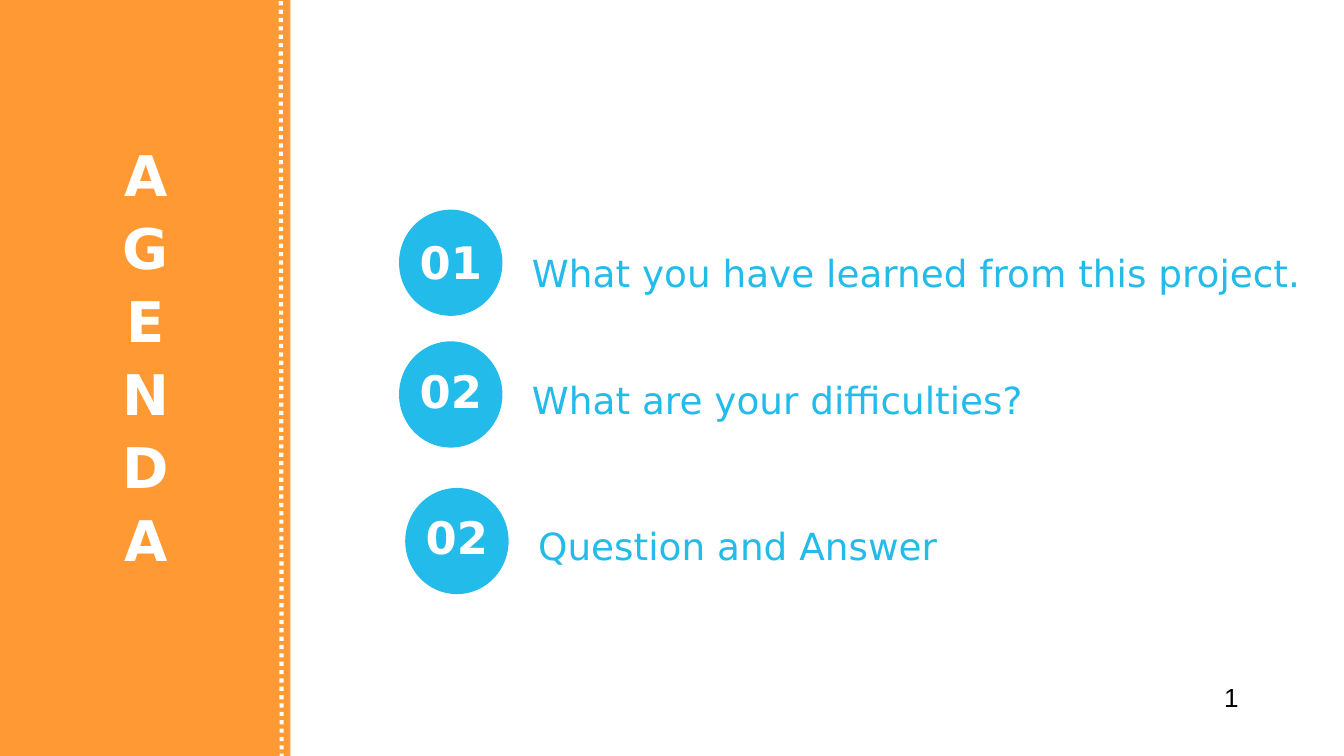
from lxml import etree
from pptx import Presentation
from pptx.dml.color import RGBColor
from pptx.enum.dml import MSO_LINE
from pptx.enum.shapes import MSO_CONNECTOR, MSO_SHAPE
from pptx.enum.text import MSO_ANCHOR, PP_ALIGN
from pptx.oxml.ns import qn
from pptx.util import Pt

RECTANGLE, OVAL = MSO_SHAPE.RECTANGLE, MSO_SHAPE.OVAL
STRAIGHT = MSO_CONNECTOR.STRAIGHT
DOTTED = MSO_LINE.ROUND_DOT
TOP, MIDDLE = MSO_ANCHOR.TOP, MSO_ANCHOR.MIDDLE
LEFT, CENTER = PP_ALIGN.LEFT, PP_ALIGN.CENTER

COLORS = {"orange": "FF9933", "blue": "22BBEA", "white": "FFFFFF", "black": "000000"}
HEADING_FONT = "DejaVu Sans"
PAGE_FONT = "Arial"
SLIDE_WIDTH, SLIDE_HEIGHT = 720, 405
CIRCLE_WIDTH, CIRCLE_HEIGHT = 55.4, 56.9
AGENDA_ITEMS = [
    ("01", "What you have learned from this project.", 213.8, 112.3, 433.4, 14.4, 18),
    ("02", "What are your difficulties?", 213.8, 182.9, 301.7, 13, 15.8),
    ("02", "Question and Answer", 217.1, 261.4, 301.7, 13, 15.1),
]


def color(name):
    """Return the named palette colour."""
    return RGBColor.from_string(COLORS[name])


def add_filled_shape(shapes, kind, box, fill):
    """Add a flat preset shape without an outline."""
    shape = shapes.add_shape(kind, *map(Pt, box))
    shape.shadow.inherit = False
    shape.fill.solid()
    shape.fill.fore_color.rgb = color(fill)
    shape.line.fill.background()
    return shape


def add_text(shapes, box, lines, size, ink, font=HEADING_FONT, bold=False,
             align=LEFT, anchor=TOP, space_before=0):
    """Add a text box with one paragraph for each line."""
    frame = shapes.add_textbox(*map(Pt, box)).text_frame
    frame.word_wrap = True
    frame.vertical_anchor = anchor
    for index, line in enumerate(lines):
        paragraph = frame.add_paragraph() if index else frame.paragraphs[0]
        paragraph.alignment = align
        paragraph.space_before = Pt(space_before)
        run = paragraph.add_run()
        run.text = line
        run.font.name = font
        run.font.size = Pt(size)
        run.font.bold = bold
        run.font.color.rgb = color(ink)


def add_sidebar(slide, left, top, width, height):
    """Draw the orange band with its vertical title and dotted edge."""
    shapes = slide.shapes
    add_filled_shape(shapes, RECTANGLE, (left, top, width, height), "orange")
    add_text(shapes, (left + 7.2, top + 174.2, 144.7, 33.8), "AGENDA", 30, "white",
             bold=True, align=CENTER, anchor=MIDDLE, space_before=3.2)
    edge = left + width - 5.2
    line = shapes.add_connector(STRAIGHT, Pt(edge + 0.5), Pt(top + height + 1),
                                Pt(edge), Pt(top))
    line.line.color.rgb = color("white")
    line.line.width = Pt(2.25)
    line.line.dash_style = DOTTED
    etree.SubElement(line._element.spPr, qn("a:effectLst"))


def add_agenda_item(slide, number, label, left, top, label_width, number_drop, label_drop):
    """Draw a numbered circle and the label to its right."""
    badge = slide.shapes.add_group_shape()
    add_filled_shape(badge.shapes, OVAL, (left, top, CIRCLE_WIDTH, CIRCLE_HEIGHT), "blue")
    add_text(badge.shapes, (left + 2.5, top + number_drop, 50.4, 26.6), [number], 24,
             "white", bold=True, align=CENTER, anchor=MIDDLE, space_before=3.2)
    add_text(slide.shapes, (left + 64.1, top + label_drop, label_width, 31.7), [label],
             20, "blue")


def add_page_number(slide, left, top, width, height):
    """Write the page number."""
    add_text(slide.shapes, (left, top, width, height), ["1"], 14, "black", PAGE_FONT)


def main():
    """Build and save the agenda slide."""
    presentation = Presentation()
    presentation.slide_width = Pt(SLIDE_WIDTH)
    presentation.slide_height = Pt(SLIDE_HEIGHT)
    slide = presentation.slides.add_slide(presentation.slide_layouts[6])
    add_sidebar(slide, -1.4, 0, 157, SLIDE_HEIGHT)
    for item in AGENDA_ITEMS:
        add_agenda_item(slide, *item)
    add_page_number(slide, 648.7, 361.4, 20.9, 25.2)
    presentation.save("out.pptx")


if __name__ == "__main__":
    main()
